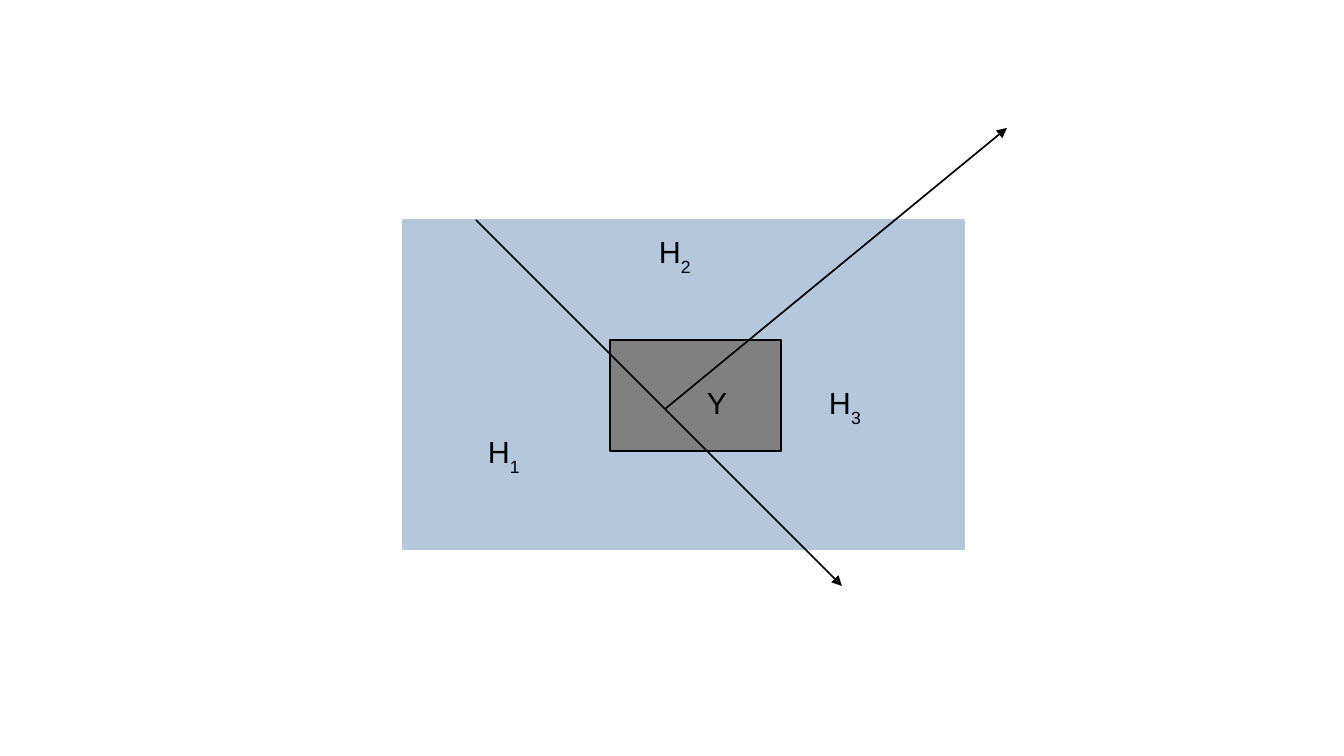
from dataclasses import dataclass

from lxml import etree
from pptx import Presentation
from pptx.dml.color import RGBColor
from pptx.enum.shapes import MSO_CONNECTOR, MSO_SHAPE
from pptx.oxml.ns import qn
from pptx.util import Emu, Pt

RECTANGLE = MSO_SHAPE.RECTANGLE
STRAIGHT = MSO_CONNECTOR.STRAIGHT

EMU_PER_PIXEL = 914400 / 122
FONT = "Arial"
TEXT_SIZE = 18
STROKE = 0.99
SUBSCRIPT = "-33000"
COLORS = {"space": "B4C7DC", "target": "808080", "ink": "000000"}


@dataclass(frozen=True)
class Region:
    left: int
    top: int
    width: int
    height: int
    fill: str
    line: str
    line_width: float


@dataclass(frozen=True)
class Arrow:
    start: tuple[int, int]
    end: tuple[int, int]


@dataclass(frozen=True)
class Label:
    left: int
    top: int
    height: int
    letter: str
    index: str = ""


def px(pixels: int) -> Emu:
    return Emu(round(pixels * EMU_PER_PIXEL))


def color(name: str) -> RGBColor:
    return RGBColor.from_string(COLORS[name])


def draw_region(slide, region: Region) -> None:
    shape = slide.shapes.add_shape(
        RECTANGLE, px(region.left), px(region.top), px(region.width), px(region.height)
    )
    shape.shadow.inherit = False
    shape.fill.solid()
    shape.fill.fore_color.rgb = color(region.fill)
    shape.line.color.rgb = color(region.line)
    shape.line.width = Pt(region.line_width)


def draw_arrow(slide, arrow: Arrow) -> None:
    connector = slide.shapes.add_connector(
        STRAIGHT, *map(px, arrow.start), *map(px, arrow.end)
    )
    connector.line.color.rgb = color("ink")
    connector.line.width = Pt(STROKE)
    etree.SubElement(connector.line._get_or_add_ln(), qn("a:tailEnd"), type="triangle")
    etree.SubElement(connector._element.spPr, qn("a:effectLst"))


def draw_label(slide, label: Label) -> None:
    box = slide.shapes.add_textbox(
        px(label.left), px(label.top), px(LABEL_WIDTH), px(label.height)
    )
    box.text_frame.word_wrap = True
    paragraph = box.text_frame.paragraphs[0]
    for text, baseline in ((label.letter, ""), (label.index, SUBSCRIPT)):
        if not text:
            continue
        run = paragraph.add_run()
        run.text = text
        run.font.name = FONT
        run.font.size = Pt(TEXT_SIZE)
        run.font.color.rgb = color("ink")
        if baseline:
            run._r.get_or_add_rPr().set("baseline", baseline)


LABEL_WIDTH = 110

# Outer space and the set Y inside it
REGIONS = [
    Region(403, 220, 561, 329, "space", "space", 0.75),
    Region(610, 340, 171, 111, "target", "ink", STROKE),
]

# Boundaries between the parts H1, H2 and H3
BOUNDARIES = [
    Arrow((476, 220), (842, 586)),
    Arrow((665, 409), (1007, 128)),
]

LABELS = [
    Label(476, 427, 54, "H", "1"),
    Label(647, 227, 54, "H", "2"),
    Label(817, 378, 54, "H", "3"),
    Label(695, 378, 46, "Y"),
]

presentation = Presentation()
presentation.slide_width = px(1344)
presentation.slide_height = px(756)
slide = presentation.slides.add_slide(presentation.slide_layouts[6])

for region in REGIONS:
    draw_region(slide, region)
for boundary in BOUNDARIES:
    draw_arrow(slide, boundary)
for label in LABELS:
    draw_label(slide, label)

presentation.save("out.pptx")
